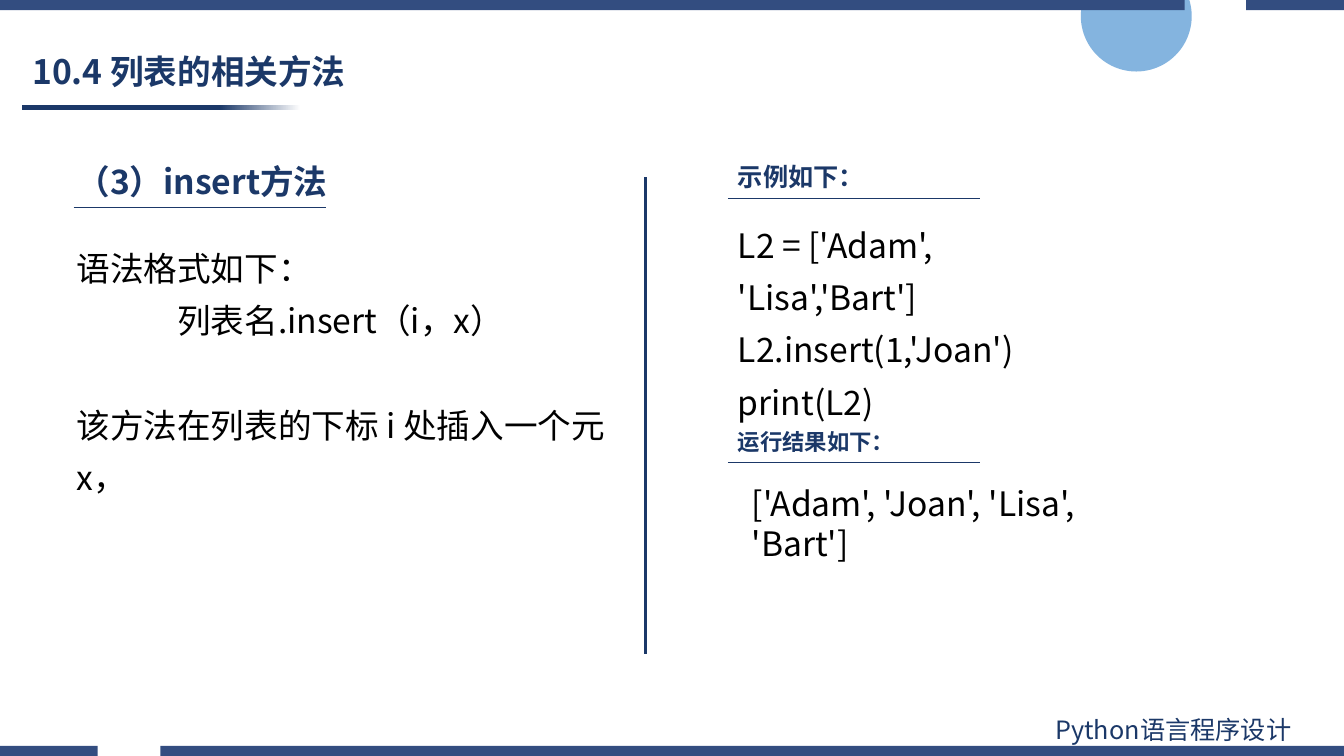
from dataclasses import dataclass

from lxml import etree
from pptx import Presentation
from pptx.dml.color import RGBColor
from pptx.enum.shapes import MSO_CONNECTOR, MSO_SHAPE
from pptx.enum.text import MSO_ANCHOR, MSO_AUTO_SIZE, PP_ALIGN
from pptx.oxml.ns import qn
from pptx.util import Inches, Pt

ELLIPSE, RECTANGLE = MSO_SHAPE.OVAL, MSO_SHAPE.RECTANGLE
STRAIGHT = MSO_CONNECTOR.STRAIGHT
GROW, FIXED = MSO_AUTO_SIZE.SHAPE_TO_FIT_TEXT, MSO_AUTO_SIZE.NONE
MIDDLE, ALIGN_LEFT = MSO_ANCHOR.MIDDLE, PP_ALIGN.LEFT


@dataclass(frozen=True)
class Theme:
    font: str = "Noto Sans CJK SC"
    navy: str = "1B3868"
    bar: str = "334D80"
    circle: str = "5B9BD5"
    text: str = "000000"
    white: str = "FFFFFF"
    large: int = 24
    medium: int = 18
    small: int = 16


THEME = Theme()
WIDTH, HEIGHT = 13.33, 7.5
BAR_HEIGHT = 0.1
LEFT_COLUMN, RIGHT_COLUMN = 0.66, 7.22
HEADING_WIDTH, RULE_LENGTH = 3.4, 2.5

TITLE = "10.4 列表的相关方法"
FOOTER = "Python语言程序设计"

# text, column, top, height, size, rule left, rule top
HEADINGS = [
    ("（3）insert方法", LEFT_COLUMN, 1.55, 0.5, THEME.large, 0.73, 2.06),
    ("示例如下：", RIGHT_COLUMN, 1.55, 0.4, THEME.medium, RIGHT_COLUMN, 1.97),
    ("运行结果如下：", RIGHT_COLUMN, 4.2, 0.37, THEME.small, RIGHT_COLUMN, 4.59),
]

# box, line spacing, paragraphs as (text, indent in inches, points before)
BODIES = [
    ((LEFT_COLUMN, 2.29, 5.71, 2.2), 1.3, [
        ("语法格式如下：", 0, 0),
        ("列表名.insert（i，x）", 1, 0),
        ("该方法在列表的下标 i 处插入一个元 x，", 0, 37),
    ]),
    ((RIGHT_COLUMN, 2.06, 3.95, 2.2), 1.3, [
        ("L2 = ['Adam', 'Lisa','Bart']", 0, 0),
        ("L2.insert(1,'Joan')", 0, 0),
        ("print(L2)", 0, 0),
    ]),
    ((7.36, 4.74, 4.2, 0.5), 1.0, [("['Adam', 'Joan', 'Lisa', 'Bart']", 0, 0)]),
]

# top of the bar, horizontal extents of its two segments
BARS = [
    (0, [(0, 11.75), (12.36, WIDTH)]),
    (HEIGHT - BAR_HEIGHT, [(0, 0.97), (1.59, WIDTH)]),
]


def inches(values):
    return [Inches(value) for value in values]


def set_attributes(target, values):
    for name, value in values.items():
        setattr(target, name, value)


def add_paragraph_text(paragraph, text, size, color, bold=False):
    run = paragraph.add_run()
    run.text = text
    set_attributes(run.font, {"size": Pt(size), "bold": bold, "name": THEME.font})
    run.font.color.rgb = RGBColor.from_string(color)
    east_asian = etree.SubElement(run.font._element, qn("a:ea"))
    east_asian.set("typeface", THEME.font)


def add_text(slide, box, paragraphs, size, color, bold=False, spacing=1.0):
    frame = slide.shapes.add_textbox(*inches(box)).text_frame
    set_attributes(frame, {"word_wrap": True, "auto_size": GROW})
    for index, (text, indent, before) in enumerate(paragraphs):
        paragraph = frame.add_paragraph() if index else frame.paragraphs[0]
        set_attributes(paragraph, {"line_spacing": spacing, "space_before": Pt(before)})
        if indent:
            paragraph._p.get_or_add_pPr().set("marL", str(Inches(indent)))
        add_paragraph_text(paragraph, text, size, color, bold)


def add_line(slide, start, end, width):
    line = slide.shapes.add_connector(STRAIGHT, *inches(start + end))
    line.line.color.rgb = RGBColor.from_string(THEME.navy)
    line.line.width = Pt(width)
    etree.SubElement(line._element.spPr, qn("a:effectLst"))


def fill_plain(shape, color):
    shape.shadow.inherit = False
    shape.line.fill.background()
    shape.fill.solid()
    shape.fill.fore_color.rgb = RGBColor.from_string(color)


def add_circle(slide):
    circle = slide.shapes.add_shape(ELLIPSE, *inches((10.72, -0.39, 1.1, 1.1)))
    fill_plain(circle, THEME.circle)
    color = circle._element.spPr.find(".//" + qn("a:srgbClr"))
    etree.SubElement(color, qn("a:alpha")).set("val", "75000")


def add_title_rule(slide):
    rule = slide.shapes.add_shape(RECTANGLE, *inches((0.22, 1.04, 2.76, 0.05)))
    rule.shadow.inherit = False
    rule.line.fill.background()
    rule.fill.gradient()
    rule.fill.gradient_angle = 0
    stops = [(0.71, THEME.navy), (1.0, THEME.white)]
    for stop, (position, color) in zip(rule.fill.gradient_stops, stops):
        stop.position = position
        stop.color.rgb = RGBColor.from_string(color)


def add_bar(slide, top, segments):
    bottom = top + BAR_HEIGHT
    builder = None
    for left, right in segments:
        if builder is None:
            builder = slide.shapes.build_freeform(*inches((left, top)))
        else:
            builder.move_to(*inches((left, top)))
        corners = [(right, top), (right, bottom), (left, bottom)]
        builder.add_line_segments([inches(corner) for corner in corners], close=True)
    fill_plain(builder.convert_to_shape(), THEME.bar)


def format_title(title):
    box = inches((0.22, 0.45, 6.04, 0.56))
    set_attributes(title, dict(zip(("left", "top", "width", "height"), box)))
    frame = title.text_frame
    set_attributes(frame, {"vertical_anchor": MIDDLE, "auto_size": FIXED, "word_wrap": True})
    paragraph = frame.paragraphs[0]
    set_attributes(paragraph, {"alignment": ALIGN_LEFT, "line_spacing": 0.9})
    add_paragraph_text(paragraph, TITLE, THEME.large, THEME.navy, bold=True)


def main():
    presentation = Presentation()
    presentation.slide_width, presentation.slide_height = inches((WIDTH, HEIGHT))
    slide = presentation.slides.add_slide(presentation.slide_layouts[5])

    add_circle(slide)
    add_title_rule(slide)
    for top, segments in BARS:
        add_bar(slide, top, segments)
    format_title(slide.shapes.title)
    add_text(slide, (10.37, 7.04, 2.94, 0.4), [(FOOTER, 0, 0)], THEME.medium, THEME.navy)

    add_line(slide, (6.4, 1.76), (6.4, 6.49), 2)
    for text, column, top, height, size, rule_left, rule_top in HEADINGS:
        box = (column, top, HEADING_WIDTH, height)
        add_text(slide, box, [(text, 0, 0)], size, THEME.navy, bold=True)
        add_line(slide, (rule_left, rule_top), (rule_left + RULE_LENGTH, rule_top), 0.5)
    for box, spacing, paragraphs in BODIES:
        add_text(slide, box, paragraphs, THEME.large, THEME.text, spacing=spacing)

    presentation.save("out.pptx")


if __name__ == "__main__":
    main()
